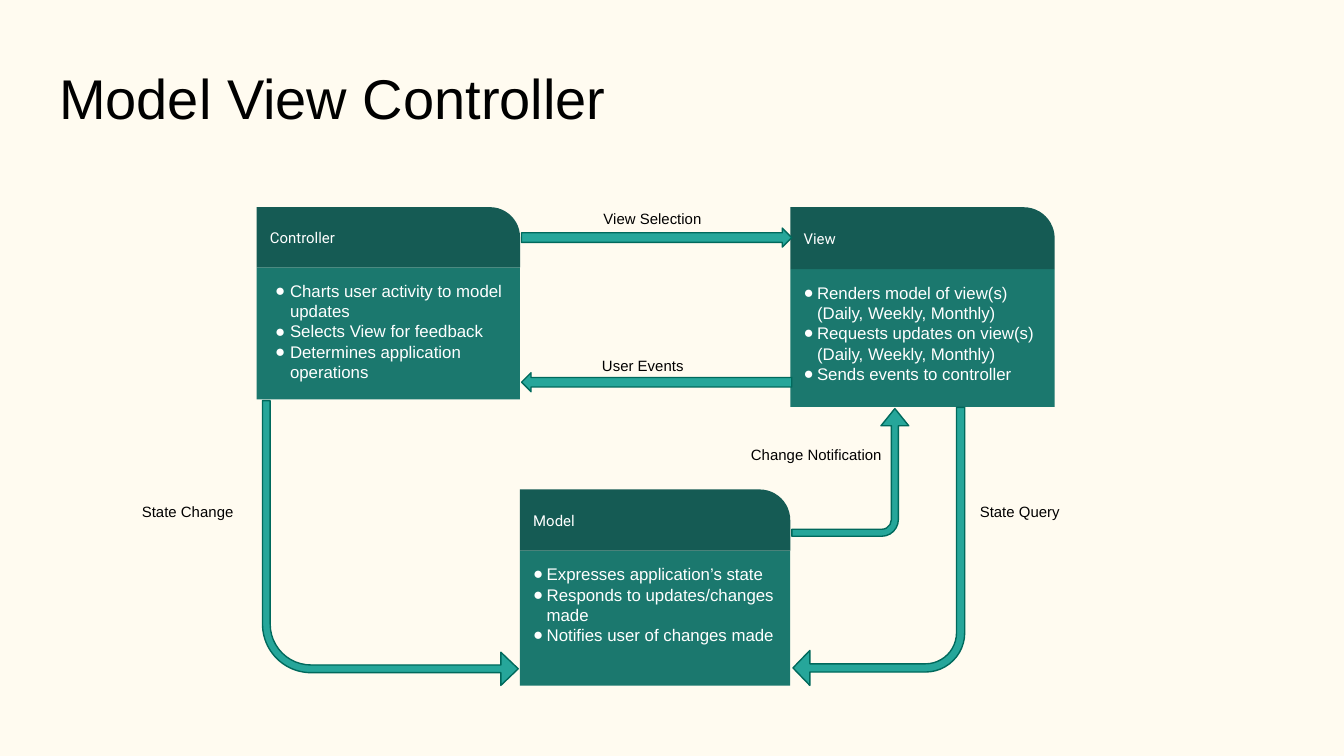
from dataclasses import dataclass

from lxml import etree
from pptx import Presentation
from pptx.dml.color import RGBColor
from pptx.enum import shapes, text
from pptx.oxml.ns import qn
from pptx.util import Pt

CREAM = RGBColor(0xFF, 0xFB, 0xF0)
BLACK = RGBColor(0, 0, 0)
WHITE = RGBColor(0xFF, 0xFF, 0xFF)
DARK = RGBColor(0x15, 0x5B, 0x54)
TEAL = RGBColor(0x1B, 0x78, 0x6E)
LIGHT = RGBColor(0x26, 0xA6, 0x9A)
EDGE = RGBColor(0x00, 0x69, 0x5C)
KIND = shapes.MSO_SHAPE
PAD = 7.2
HANG = 8


@dataclass
class Card:
    name: str
    items: list[str]
    x: float
    y: float
    w: float
    head: float
    body: float
    left: float = 7.2


@dataclass
class Arrow:
    kind: KIND
    box: tuple[float, float, float, float]
    adj: tuple[float, ...] = (0.5, 0.5)
    turn: int = 0
    flip: bool = False


@dataclass
class Label:
    words: str
    x: float
    y: float
    w: float = 71.3
    h: float = 27.4


CARDS = [
    Card("View", ["Renders model of view(s) (Daily, Weekly, Monthly)",
                  "Requests updates on view(s) (Daily, Weekly, Monthly)",
                  "Sends events to controller"],
         423.4, 111, 141.6, 33.2, 73.8),
    Card("Controller", ["Charts user activity to model updates",
                        "Selects View for feedback",
                        "Determines application operations"],
         137.5, 111, 141.1, 32.2, 70.8, 10.8),
    Card("Model", ["Expresses application’s state",
                   "Responds to updates/changes made",
                   "Notifies user of changes made"],
         278.6, 262.2, 144.8, 32.8, 72.4),
]
ARROWS = [
    Arrow(KIND.RIGHT_ARROW, (279.4, 122.2, 144.8, 10.2)),
    Arrow(KIND.LEFT_ARROW, (279.4, 199.7, 144.8, 10.2)),
    Arrow(KIND.BENT_ARROW, (424.8, 218.2, 92, 149),
          (0.048, 0.102, 0.098, 0.229), 180),
    Arrow(KIND.BENT_ARROW, (140.6, 214.6, 137, 152.6),
          (0.03, 0.065, 0.068, 0.19), 180, True),
    Arrow(KIND.BENT_ARROW, (421.4, 221.8, 68.4, 62.6),
          (0.06, 0.119, 0.147, 0.143), 90, True),
]
LABELS = [
    Label("View Selection", 316.2, 105.2),
    Label("User Events", 315.4, 183.8),
    Label("State Change", 68.9, 262),
    Label("State Query", 517.8, 262),
    Label("Change Notification", 395.2, 231.6, 92.2, 16.6),
]


def write(frame, words: str, size: float, color: RGBColor, font="Arial",
          anchor=text.MSO_ANCHOR.TOP) -> None:
    frame.text = words
    frame.word_wrap = True
    frame.auto_size = text.MSO_AUTO_SIZE.NONE
    frame.vertical_anchor = anchor
    frame.margin_left = frame.margin_right = Pt(PAD)
    frame.margin_top = frame.margin_bottom = Pt(PAD)
    for para in frame.paragraphs:
        para.alignment = text.PP_ALIGN.LEFT
        for run in para.runs:
            run.font.size = Pt(size)
            run.font.name = font
            run.font.color.rgb = color


def bullet(para, left: float) -> None:
    props = para._p.get_or_add_pPr()
    props.set("marL", str(Pt(left)))
    props.set("indent", str(-Pt(HANG)))
    tint = etree.SubElement(props, qn("a:buClr"))
    etree.SubElement(tint, qn("a:srgbClr"), val=str(WHITE))
    etree.SubElement(props, qn("a:buFont"), typeface="Arial")
    etree.SubElement(props, qn("a:buChar"), char="●")


def block(parent, kind: KIND, box: tuple, fill: RGBColor):
    """Add a filled shape with neither outline nor shadow."""
    shape = parent.add_shape(kind, *map(Pt, box))
    shape.shadow.inherit = False
    shape.fill.solid()
    shape.fill.fore_color.rgb = fill
    shape.line.fill.background()
    return shape


def draw_card(slide, card: Card) -> None:
    group = slide.shapes.add_group_shape().shapes
    body = block(group, KIND.RECTANGLE,
                 (card.x, card.y + card.head, card.w, card.body), TEAL)
    write(body.text_frame, "\n".join(card.items), 9, WHITE)
    for para in body.text_frame.paragraphs:
        bullet(para, card.left)
    head = block(group, KIND.ROUND_1_RECTANGLE,
                 (card.x, card.y, card.w, card.head), DARK)
    head.adjustments[0] = 0.5
    write(head.text_frame, card.name, 8, WHITE, "Roboto",
          text.MSO_ANCHOR.MIDDLE)


def draw_arrow(slide, arrow: Arrow) -> None:
    shape = block(slide.shapes, arrow.kind, arrow.box, LIGHT)
    shape.line.color.rgb = EDGE
    shape.line.width = Pt(0.75)
    for i, value in enumerate(arrow.adj):
        shape.adjustments[i] = value
    shape.rotation = arrow.turn
    if arrow.flip:
        shape._element.spPr.find(qn("a:xfrm")).set("flipH", "1")


def draw_label(slide, label: Label) -> None:
    box = slide.shapes.add_textbox(
        Pt(label.x), Pt(label.y), Pt(label.w), Pt(label.h))
    write(box.text_frame, label.words, 8, BLACK)


def main() -> None:
    deck = Presentation()
    deck.slide_width, deck.slide_height = Pt(720), Pt(405)
    slide = deck.slides.add_slide(deck.slide_layouts[5])
    slide.background.fill.solid()
    slide.background.fill.fore_color.rgb = CREAM

    title = slide.shapes.title
    title.left, title.top = Pt(24.5), Pt(26.6)
    title.width, title.height = Pt(671), Pt(48.2)
    write(title.text_frame, "Model View Controller", 30, BLACK)

    for card in CARDS:
        draw_card(slide, card)
    for arrow in ARROWS:
        draw_arrow(slide, arrow)
    for label in LABELS:
        draw_label(slide, label)
    deck.save("out.pptx")


if __name__ == "__main__":
    main()
